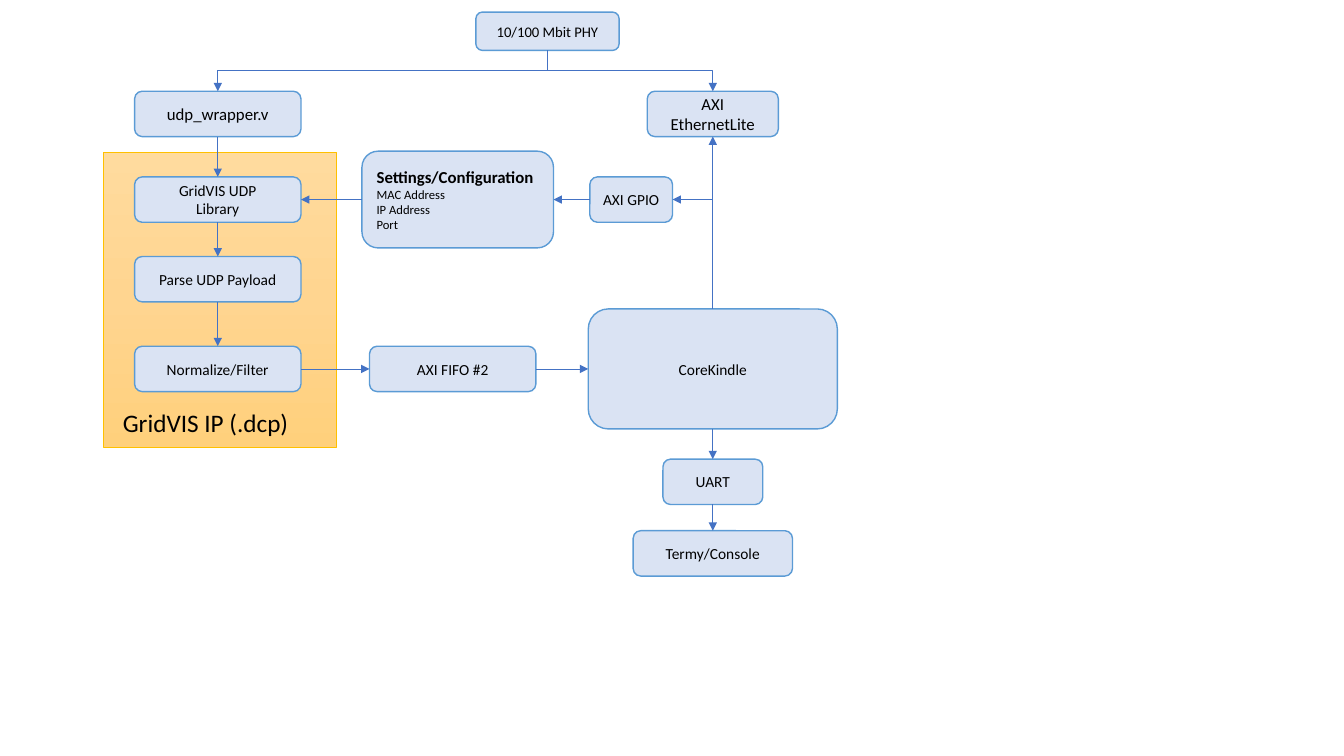
"""Build a block diagram of a network data path from PHY to serial console."""
from copy import deepcopy
from pptx import Presentation
from pptx.dml.color import RGBColor
from pptx.enum.shapes import MSO_CONNECTOR, MSO_SHAPE
from pptx.enum.text import MSO_ANCHOR, PP_ALIGN
from pptx.oxml.ns import qn
from pptx.util import Inches, Pt

ROUNDED, PROCESS = MSO_SHAPE.ROUNDED_RECTANGLE, MSO_SHAPE.FLOWCHART_PROCESS
STRAIGHT, ELBOW = MSO_CONNECTOR.STRAIGHT, MSO_CONNECTOR.ELBOW
CENTER, LEFT_ALIGN, MIDDLE = PP_ALIGN.CENTER, PP_ALIGN.LEFT, MSO_ANCHOR.MIDDLE
TOP, LEFT, BOTTOM, RIGHT = range(4)

THEME = {
    "font": "Calibri", "text": "000000", "box": "DAE3F3", "border": "5B9BD5",
    "arrow": "4472C4", "group_border": "FFC000",
    "group_stops": ((0, "FFDB9E"), (0.5, "FFD590"), (1, "FFD07C")),
    "label": 18, "large": 12, "body": 11, "phy": 10.5, "detail": 9,
}


def color(name):
    return RGBColor.from_string(THEME.get(name, name))


def write(frame, lines, sizes, align):
    frame.word_wrap = True
    frame.text = "\n".join(lines)
    for index, para in enumerate(frame.paragraphs):
        para.alignment = align
        font = para.runs[0].font
        font.name = THEME["font"]
        font.size = Pt(THEME[sizes[min(index, len(sizes) - 1)]])
        font.color.rgb = color("text")


deck = Presentation()
deck.slide_width, deck.slide_height = Inches(13.33), Inches(7.5)
page = deck.slides.add_slide(deck.slide_layouts[6])

group = page.shapes.add_shape(PROCESS, Inches(1.03), Inches(1.51), Inches(2.31), Inches(2.93))
group.shadow.inherit = False
group.line.color.rgb = color("group_border")
group.line.width = Pt(0.5)
group.fill.gradient()
group.fill.gradient_angle = 270
stop_list = next(group.element.iter(qn("a:gsLst")))
stop_list.insert(1, deepcopy(stop_list[0]))
for stop, (position, shade) in zip(group.fill.gradient_stops, THEME["group_stops"]):
    stop.position = position
    stop.color.rgb = color(shade)

FABRIC_X, CPU_X = 2.16, 7.07
WRAPPER_Y, CONFIG_Y, DATA_Y = 1.13, 1.98, 3.66
WIDE, TALL = 1.65, 0.45
boxes = {}
for name, center_x, center_y, width, height, size, lines in (
    ("phy", 5.43, 0.31, 1.42, 0.38, "phy", ["10/100 Mbit PHY"]),
    ("wrapper", FABRIC_X, WRAPPER_Y, WIDE, TALL, "large", ["udp_wrapper.v"]),
    ("ethernet", CPU_X, WRAPPER_Y, 1.3, TALL, "large", ["AXI EthernetLite"]),
    ("library", FABRIC_X, CONFIG_Y, WIDE, TALL, "body", ["GridVIS UDP", "Library"]),
    ("parser", FABRIC_X, 2.77, WIDE, TALL, "body", ["Parse UDP Payload"]),
    ("filter", FABRIC_X, DATA_Y, WIDE, TALL, "body", ["Normalize/Filter"]),
    ("fifo", 4.49, DATA_Y, WIDE, TALL, "body", ["AXI FIFO #2"]),
    ("processor", CPU_X, DATA_Y, 2.47, 1.19, "body", ["CoreKindle"]),
    ("uart", CPU_X, 4.78, 0.99, TALL, "body", ["UART"]),
    ("console", CPU_X, 5.49, 1.58, TALL, "body", ["Termy/Console"]),
    ("settings", 4.54, CONFIG_Y, 1.9, 0.96, "large",
     ["Settings/Configuration", "MAC Address", "IP Address", "Port"]),
    ("gpio", 6.26, CONFIG_Y, 0.82, TALL, "body", ["AXI GPIO"]),
):
    box = page.shapes.add_shape(ROUNDED, Inches(center_x - width / 2),
                                Inches(center_y - height / 2), Inches(width), Inches(height))
    box.shadow.inherit = False
    box.fill.solid()
    box.fill.fore_color.rgb = color("box")
    box.line.color.rgb = color("border")
    box.line.width = Pt(1)
    box.text_frame.vertical_anchor = MIDDLE
    is_settings = name == "settings"
    write(box.text_frame, lines, (size, "detail") if is_settings else (size,),
          LEFT_ALIGN if is_settings else CENTER)
    boxes[name] = box
boxes["settings"].text_frame.paragraphs[0].runs[0].font.bold = True

for source, start, target, end, bend in (
    ("phy", BOTTOM, "ethernet", TOP, ("bentConnector3", 270, "flipH")),
    ("phy", BOTTOM, "wrapper", TOP, ("bentConnector3", 90, None)),
    ("wrapper", BOTTOM, "library", TOP, None),
    ("library", BOTTOM, "parser", TOP, None),
    ("parser", BOTTOM, "filter", TOP, None),
    ("filter", RIGHT, "fifo", LEFT, None),
    ("uart", BOTTOM, "console", TOP, None),
    ("settings", LEFT, "library", RIGHT, None),
    ("gpio", LEFT, "settings", RIGHT, None),
    ("processor", TOP, "gpio", RIGHT, ("bentConnector2", 270, "flipV")),
    ("processor", TOP, "ethernet", BOTTOM, None),
    ("processor", BOTTOM, "uart", TOP, None),
    ("fifo", RIGHT, "processor", LEFT, None),
):
    arrow = page.shapes.add_connector(ELBOW if bend else STRAIGHT, 0, 0, 0, 0)
    arrow.begin_connect(boxes[source], start)
    arrow.end_connect(boxes[target], end)
    arrow.line.color.rgb = color("arrow")
    arrow.line.width = Pt(0.5)
    properties = arrow.element.spPr
    line = properties.find(qn("a:ln"))
    line.append(line.makeelement(qn("a:tailEnd"), {"type": "triangle"}))
    properties.append(properties.makeelement(qn("a:effectLst"), {}))
    if bend:
        preset, angle, flip = bend
        middle_x = (arrow.begin_x + arrow.end_x) // 2
        middle_y = (arrow.begin_y + arrow.end_y) // 2
        width, height = arrow.height, arrow.width
        arrow.left, arrow.top = middle_x - width // 2, middle_y - height // 2
        arrow.width, arrow.height = width, height
        transform = properties.find(qn("a:xfrm"))
        for attribute in ("flipH", "flipV"):
            transform.attrib.pop(attribute, None)
        transform.set("rot", str(angle * 60000))
        if flip:
            transform.set(flip, "1")
        properties.find(qn("a:prstGeom")).set("prst", preset)

label = page.shapes.add_textbox(Inches(1.12), Inches(3.99), Inches(2.12), Inches(0.4))
write(label.text_frame, ["GridVIS IP (.dcp)"], ("label",), LEFT_ALIGN)

deck.save("out.pptx")
